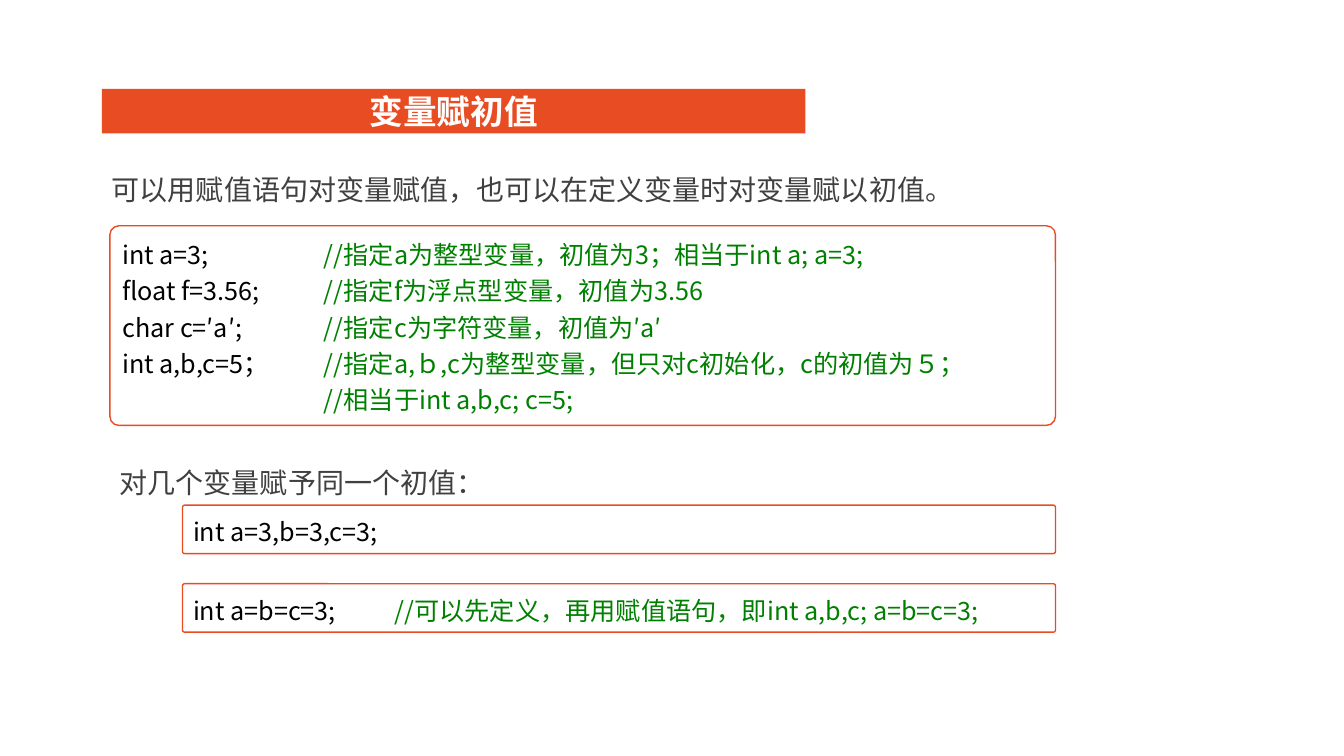
from dataclasses import dataclass

import lxml.etree
import pptx
import pptx.dml.color
import pptx.enum.shapes
import pptx.enum.text
import pptx.oxml.ns
import pptx.shapes.autoshape
import pptx.slide
import pptx.text.text
import pptx.util

Cm = pptx.util.Cm
Align = pptx.enum.text.PP_ALIGN
Anchor = pptx.enum.text.MSO_ANCHOR
Kind = pptx.enum.shapes.MSO_SHAPE


@dataclass(frozen=True)
class Theme:
    face: str = "Noto Sans CJK SC"
    accent: str = "E84C22"
    paper: str = "FFFFFF"
    prose: str = "404040"
    code: str = "000000"
    remark: str = "008000"
    head_size: float = 24
    prose_size: float = 20
    code_size: float = 18
    border: float = 1
    corner: float = 0.045
    tab: float = 5.08


@dataclass(frozen=True)
class Place:
    left: float
    top: float
    width: float
    height: float


@dataclass(frozen=True)
class Line:
    code: str
    remark: str = ""


@dataclass(frozen=True)
class Panel:
    place: Place
    lines: tuple[Line, ...]


@dataclass(frozen=True)
class Note:
    place: Place
    text: str


THEME = Theme()
TITLE = Note(Place(2.57, 2.24, 17.73, 1.12), "变量赋初值")
NOTES = (
    Note(Place(2.57, 3.81, 26.54, 1.4), "可以用赋值语句对变量赋值，也可以在定义变量时对变量赋以初值。"),
    Note(Place(2.77, 11.18, 12.8, 1.55), "对几个变量赋予同一个初值："),
)
PANELS = (
    Panel(Place(2.77, 5.69, 23.83, 5.03), (
        Line("int a=3;", "//指定a为整型变量，初值为3；相当于int a; a=3;"),
        Line("float f=3.56;", "//指定f为浮点型变量，初值为3.56"),
        Line("char c=′a′;", "//指定c为字符变量，初值为′a′"),
        Line("int a,b,c=5；", "//指定a,ｂ,c为整型变量，但只对c初始化，c的初值为５；"),
        Line("", "//相当于int a,b,c; c=5;"),
    )),
    Panel(Place(4.6, 12.73, 22, 1.22), (Line("int a=3,b=3,c=3;"),)),
    Panel(Place(4.6, 14.71, 22, 1.22), (
        Line("int a=b=c=3;", "//可以先定义，再用赋值语句，即int a,b,c; a=b=c=3;"),
    )),
)


def rgb(code: str) -> pptx.dml.color.RGBColor:
    return pptx.dml.color.RGBColor.from_string(code)


def frame(place: Place) -> tuple[Cm, Cm, Cm, Cm]:
    return Cm(place.left), Cm(place.top), Cm(place.width), Cm(place.height)


def add_run(para: pptx.text.text._Paragraph, text: str, size: float, color: str, bold: bool = False) -> None:
    run = para.add_run()
    run.text = text
    run.font.size = pptx.util.Pt(size)
    run.font.bold = bold
    run.font.color.rgb = rgb(color)
    run.font.name = THEME.face
    props = run._r.get_or_add_rPr()
    lxml.etree.SubElement(props, pptx.oxml.ns.qn("a:ea"), typeface=THEME.face)


def set_tab(para: pptx.text.text._Paragraph) -> None:
    props = para._p.get_or_add_pPr()
    tabs = lxml.etree.SubElement(props, pptx.oxml.ns.qn("a:tabLst"))
    lxml.etree.SubElement(tabs, pptx.oxml.ns.qn("a:tab"), pos=str(Cm(THEME.tab)), algn="l")


def add_box(slide: pptx.slide.Slide, kind: Kind, place: Place, fill: str) -> pptx.shapes.autoshape.Shape:
    box = slide.shapes.add_shape(kind, *frame(place))
    box.shadow.inherit = False
    box.fill.solid()
    box.fill.fore_color.rgb = rgb(fill)
    box.text_frame.word_wrap = True
    return box


def add_title(slide: pptx.slide.Slide, note: Note) -> None:
    box = add_box(slide, Kind.RECTANGLE, note.place, THEME.accent)
    box.line.fill.background()
    body = box.text_frame
    body.margin_left = body.margin_right = body.margin_top = body.margin_bottom = 0
    body.vertical_anchor = Anchor.MIDDLE
    para = body.paragraphs[0]
    para.alignment = Align.CENTER
    add_run(para, note.text, THEME.head_size, THEME.paper, True)


def add_note(slide: pptx.slide.Slide, note: Note) -> None:
    body = slide.shapes.add_textbox(*frame(note.place)).text_frame
    body.word_wrap = True
    body.auto_size = pptx.enum.text.MSO_AUTO_SIZE.SHAPE_TO_FIT_TEXT
    para = body.paragraphs[0]
    para.line_spacing = 1.5
    add_run(para, note.text, THEME.prose_size, THEME.prose)


def add_panel(slide: pptx.slide.Slide, panel: Panel) -> None:
    box = add_box(slide, Kind.ROUNDED_RECTANGLE, panel.place, THEME.paper)
    box.adjustments[0] = THEME.corner
    box.line.color.rgb = rgb(THEME.accent)
    box.line.width = pptx.util.Pt(THEME.border)
    body = box.text_frame
    body.vertical_anchor = Anchor.TOP
    for index, line in enumerate(panel.lines):
        para = body.add_paragraph() if index else body.paragraphs[0]
        para.alignment = Align.JUSTIFY
        para.line_spacing = 1.2
        set_tab(para)
        if line.code:
            add_run(para, line.code, THEME.code_size, THEME.code)
        if line.remark:
            add_run(para, "\t" + line.remark, THEME.code_size, THEME.remark)


def main() -> None:
    deck = pptx.Presentation()
    deck.slide_width, deck.slide_height = Cm(33.87), Cm(19.05)
    slide = deck.slides.add_slide(deck.slide_layouts[6])
    slide.background.fill.solid()
    slide.background.fill.fore_color.rgb = rgb(THEME.paper)
    add_title(slide, TITLE)
    for note in NOTES:
        add_note(slide, note)
    for panel in PANELS:
        add_panel(slide, panel)
    deck.save("out.pptx")


if __name__ == "__main__":
    main()
